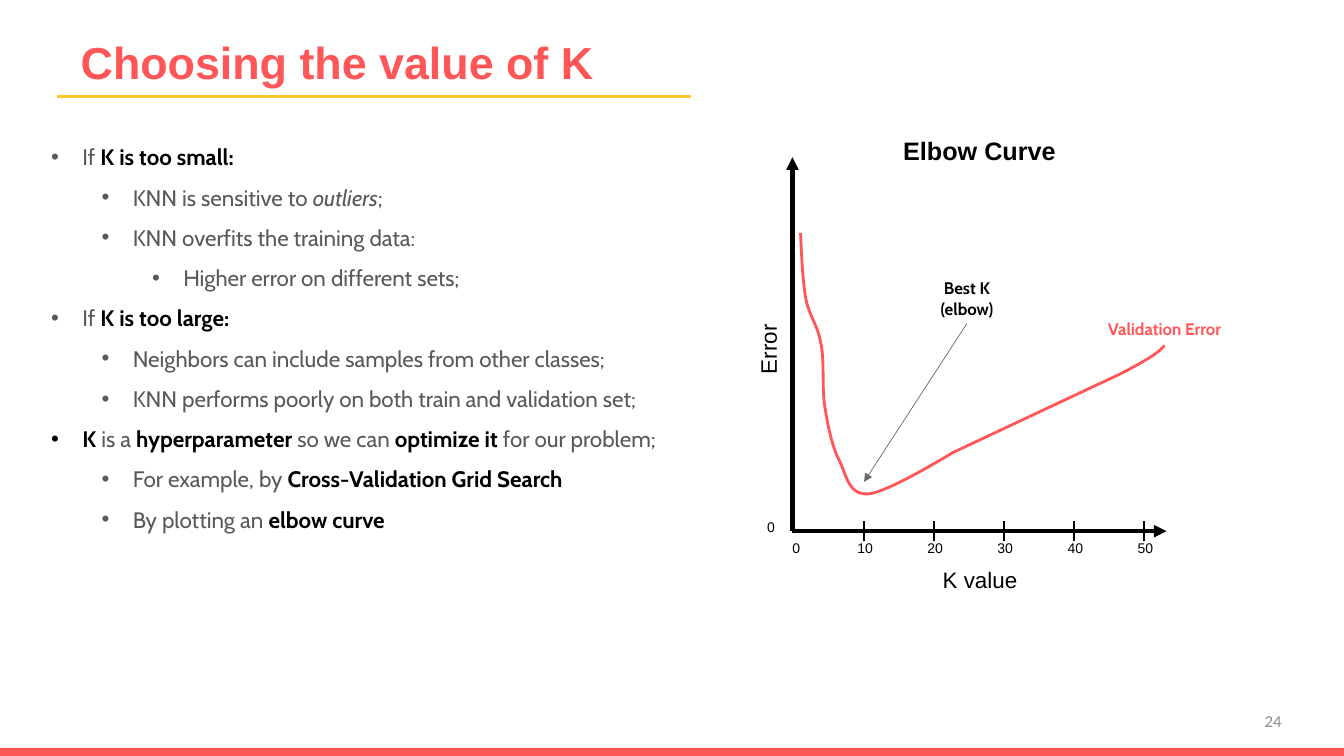
from lxml.etree import SubElement
from pptx import Presentation
from pptx.dml.color import RGBColor
from pptx.enum.shapes import MSO_CONNECTOR, MSO_SHAPE
from pptx.enum.text import MSO_ANCHOR, MSO_AUTO_SIZE, PP_ALIGN
from pptx.oxml.ns import qn
from pptx.util import Inches, Pt

COLORS = {"coral": "FF5657", "yellow": "FFC727", "black": "000000",
          "body": "595959", "arrow": "696969", "number": "8C8C8C"}


def add_label(text, left, top, width, height, size, font="Arial", color="black",
              bold=False, align=PP_ALIGN.CENTER):
    label = slide.shapes.add_textbox(Inches(left), Inches(top), Inches(width), Inches(height))
    frame = label.text_frame
    frame.word_wrap = True
    frame.text = text
    paragraph = frame.paragraphs[0]
    paragraph.alignment = align
    for run in paragraph.runs:
        run.font.name = font
        run.font.size = Pt(size)
        run.font.bold = bold
        run.font.color.rgb = RGBColor.from_string(COLORS[color])
    return label


def add_line(start, end, color, width, arrow=False):
    line = slide.shapes.add_connector(MSO_CONNECTOR.STRAIGHT, *map(Inches, start + end))
    line.line.color.rgb = RGBColor.from_string(COLORS[color])
    line.line.width = Pt(width)
    if arrow:
        SubElement(line.line._get_or_add_ln(), qn("a:tailEnd"), type="triangle")
    SubElement(line._element.spPr, qn("a:effectLst"))


prs = Presentation()
prs.slide_width = Inches(13.33)
prs.slide_height = Inches(7.5)
slide = prs.slides.add_slide(prs.slide_layouts[5])

page_number = add_label("24", 9.81, 6.95, 3, 0.4, 12, "Calibri", "number", align=PP_ALIGN.RIGHT)
page_number.text_frame.vertical_anchor = MSO_ANCHOR.MIDDLE

footer_bar = slide.shapes.add_shape(MSO_SHAPE.RECTANGLE, 0, Inches(7.42), Inches(13.33), Inches(0.08))
footer_bar.shadow.inherit = False
footer_bar.fill.solid()
footer_bar.fill.fore_color.rgb = RGBColor.from_string(COLORS["coral"])
footer_bar.line.fill.background()

title = slide.shapes.title
title.left, title.top, title.width, title.height = map(Inches, (0.7, 0.3, 11.93, 0.63))
title.text_frame.text = "Choosing the value of K"
title.text_frame.auto_size = MSO_AUTO_SIZE.NONE
title.text_frame.vertical_anchor = MSO_ANCHOR.MIDDLE
title.text_frame.paragraphs[0].alignment = PP_ALIGN.LEFT
title_font = title.text_frame.paragraphs[0].runs[0].font
title_font.name = "Arial"
title_font.size = Pt(32)
title_font.bold = True
title_font.color.rgb = RGBColor.from_string(COLORS["coral"])
add_line((6.85, 0.96), (0.57, 0.96), "yellow", 2.25)

PLAIN, BOLD, ITALIC = "plain", "bold", "italic"
points = [
    (0, [("If ", PLAIN), ("K is too small:", BOLD)]),
    (1, [("KNN is sensitive to ", PLAIN), ("outliers", ITALIC), (";", PLAIN)]),
    (1, [("KNN overfits the training data:", PLAIN)]),
    (2, [("Higher error on different sets;", PLAIN)]),
    (0, [("If ", PLAIN), ("K is too large:", BOLD)]),
    (1, [("Neighbors can include samples from other classes;", PLAIN)]),
    (1, [("KNN performs poorly on both train and validation set;", PLAIN)]),
    (0, [("K", BOLD), (" is a ", PLAIN), ("hyperparameter", BOLD), (" so we can ", PLAIN),
         ("optimize it", BOLD), (" for our problem;", PLAIN)]),
    (1, [("For example, by ", PLAIN), ("Cross-Validation Grid Search", BOLD)]),
    (1, [("By plotting an ", PLAIN), ("elbow curve", BOLD)]),
]
points_box = slide.shapes.add_textbox(Inches(0.41), Inches(1.24), Inches(6.36), Inches(4.1))
points_frame = points_box.text_frame
points_frame.word_wrap = True
for index, (level, pieces) in enumerate(points):
    paragraph = points_frame.add_paragraph() if index else points_frame.paragraphs[0]
    paragraph.level = level
    paragraph.alignment = PP_ALIGN.JUSTIFY
    paragraph.line_spacing = 1.5
    properties = paragraph._p.get_or_add_pPr()
    properties.set("marL", str(Inches(0.31 + 0.5 * level)))
    properties.set("indent", str(Inches(-0.31)))
    SubElement(properties, qn("a:buFont"), typeface="Arial")
    SubElement(properties, qn("a:buChar"), char="•")
    for text, style in pieces:
        run = paragraph.add_run()
        run.text = text
        run.font.name = "Cabin"
        run.font.size = Pt(16)
        run.font.bold = style == BOLD
        run.font.italic = style == ITALIC
        run.font.color.rgb = RGBColor.from_string(COLORS["black" if style == BOLD else "body"])

origin = (7.86, 5.27)
error_label = add_label("Error", 6.3, 3.28, 2.64, 0.37, 16)
error_label.rotation = 270
add_label("K value", 8.4, 5.57, 2.64, 0.37, 16)
add_line(origin, (11.57, 5.27), "black", 3, arrow=True)
add_line(origin, (7.86, 1.56), "black", 3, arrow=True)
add_label("0", 7.76, 5.3, 0.24, 0.27, 10)
add_label("0", 7.51, 5.09, 0.24, 0.27, 10)
for step in range(5):
    tick = 8.57 + 0.695 * step
    add_line((tick, 5.37), (tick, 5.17), "black", 1.5)
    add_label(str(10 * (step + 1)), tick - 0.2, 5.3, 0.42, 0.27, 10)

curve_start = (7.94, 2.31)
curve_segments = [
    ((7.95, 2.54), (7.96, 2.77), (7.99, 2.95)),
    ((8.02, 3.13), (8.11, 3.22), (8.14, 3.4)),
    ((8.18, 3.58), (8.15, 3.83), (8.18, 4.03)),
    ((8.21, 4.22), (8.25, 4.43), (8.33, 4.58)),
    ((8.4, 4.73), (8.42, 4.91), (8.61, 4.9)),
    ((8.8, 4.89), (9.45, 4.49), (9.45, 4.49)),
    ((9.45, 4.49), (11.11, 3.71), (11.11, 3.71)),
    ((11.46, 3.53), (11.5, 3.48), (11.55, 3.43)),
]
STEPS = 16
curve_points = []
segment_start = curve_start
for first, second, end in curve_segments:
    for step in range(1, STEPS + 1):
        t = step / STEPS
        weights = ((1 - t) ** 3, 3 * t * (1 - t) ** 2, 3 * t ** 2 * (1 - t), t ** 3)
        anchors = (segment_start, first, second, end)
        curve_points.append(tuple(
            Inches(sum(weight * anchor[axis] for weight, anchor in zip(weights, anchors)))
            for axis in (0, 1)))
    segment_start = end
builder = slide.shapes.build_freeform(*map(Inches, curve_start))
builder.add_line_segments(curve_points, close=False)
error_curve = builder.convert_to_shape()
error_curve.shadow.inherit = False
error_curve.fill.background()
error_curve.line.color.rgb = RGBColor.from_string(COLORS["coral"])
error_curve.line.width = Pt(2)

add_label("Best K\v(elbow)", 9.02, 2.71, 1.14, 0.5, 12, "Cabin", bold=True)
add_line((9.59, 3.21), (8.57, 4.78), "arrow", 0.5, arrow=True)
validation_label = add_label("Validation Error", 10.77, 3.01, 1.56, 0.37, 12, "Cabin", "coral", bold=True)
validation_label.text_frame.paragraphs[0].line_spacing = 1.5
add_label("Elbow Curve", 7.86, 1.29, 3.71, 0.4, 18, bold=True)

prs.save("out.pptx")
